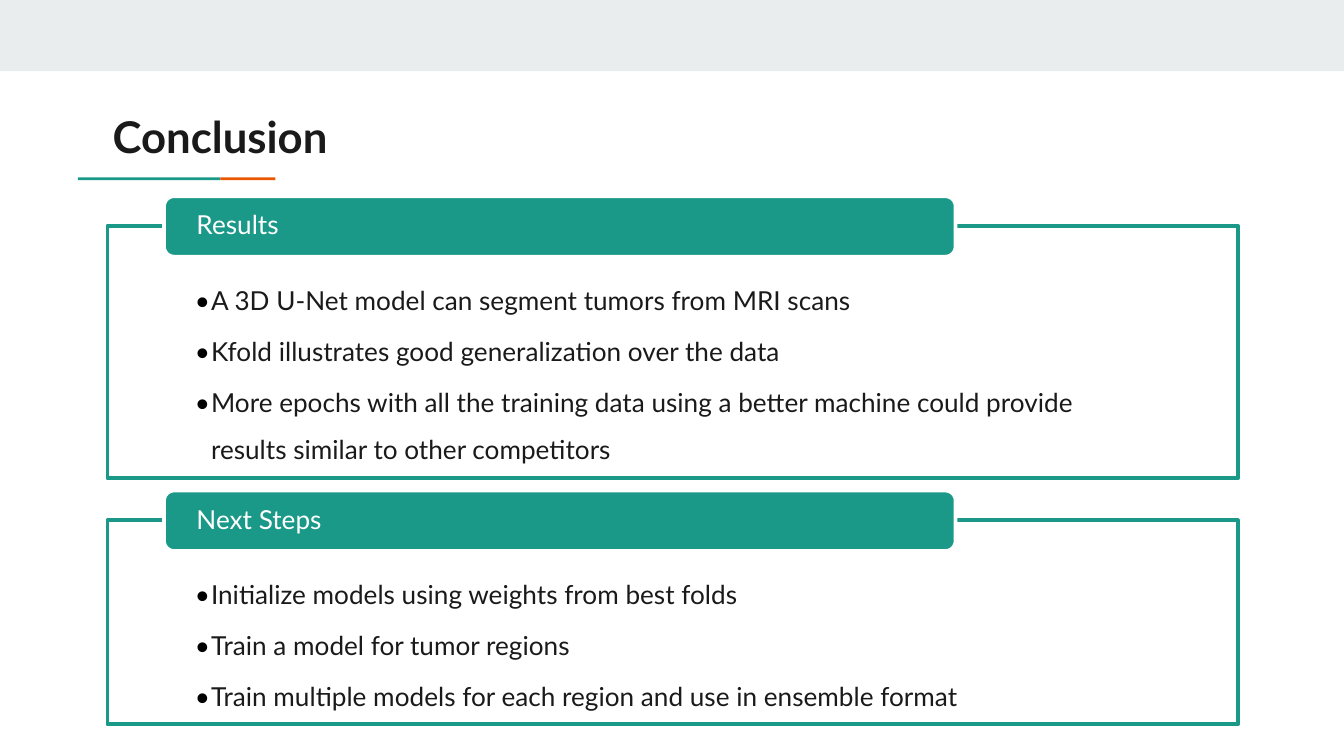
import pptx
import pptx.util
import pptx.dml.color
import pptx.enum.shapes
import pptx.enum.text
import pptx.oxml.ns
from lxml import etree
from pptx.util import Inches, Pt

COLORS = {
    "band": "E9EDEE",
    "teal": "1A9988",
    "orange": "EB5600",
    "ink": "1A1A1A",
    "bullet": "000000",
    "white": "FFFFFF",
}
FONT = "Lato"
SHAPES = pptx.enum.shapes.MSO_SHAPE
ANCHORS = pptx.enum.text.MSO_ANCHOR
PANEL_LEFT, PANEL_WIDTH = 0.8, 8.41
HEADER_LEFT, HEADER_WIDTH, HEADER_HEIGHT = 1.22, 5.89, 0.45
HEADER_RISE = 0.22  # how far a header stands above its panel
BULLET_INDENT = 0.12

SECTIONS = [
    ("Results", 1.68, 1.88, [
        "A 3D U-Net model can segment tumors from MRI scans",
        "Kfold illustrates good generalization over the data",
        "More epochs with all the training data using a better machine "
        "could provide results similar to other competitors",
    ]),
    ("Next Steps", 3.87, 1.52, [
        "Initialize models using weights from best folds",
        "Train a model for tumor regions",
        "Train multiple models for each region and use in ensemble format",
    ]),
]


def rgb(name):
    return pptx.dml.color.RGBColor.from_string(COLORS[name])


def add_block(slide, kind, left, top, width, height, fill, line=None):
    block = slide.shapes.add_shape(
        kind, Inches(left), Inches(top), Inches(width), Inches(height))
    block.shadow.inherit = False
    block.fill.solid()
    block.fill.fore_color.rgb = rgb(fill)
    if line:
        block.line.color.rgb = rgb(line)
        block.line.width = Pt(2)
    else:
        block.line.fill.background()
    return block


def add_bullet(paragraph):
    """Give a paragraph a hanging round bullet."""
    paragraph.level = 1
    props = paragraph._p.get_or_add_pPr()
    props.set("marL", str(Inches(BULLET_INDENT)))
    props.set("indent", str(-Inches(BULLET_INDENT)))
    qualified = pptx.oxml.ns.qn
    color = etree.SubElement(props, qualified("a:buClr"))
    etree.SubElement(color, qualified("a:srgbClr"), val=COLORS["bullet"])
    etree.SubElement(props, qualified("a:buFont"), typeface=FONT)
    etree.SubElement(props, qualified("a:buChar"), char="•")


def write_text(shape, lines, *, size=14, color="ink", bold=False, bullets=False,
               spacing=1.0, gap=0, insets=(0.1, 0.1, 0.1, 0.1), anchor=ANCHORS.TOP):
    """Fill a shape with paragraphs; insets run left, top, right, bottom."""
    frame = shape.text_frame
    frame.word_wrap = True
    frame.vertical_anchor = anchor
    (frame.margin_left, frame.margin_top,
     frame.margin_right, frame.margin_bottom) = map(Inches, insets)
    for index, line in enumerate(lines):
        paragraph = frame.add_paragraph() if index else frame.paragraphs[0]
        if bullets:
            add_bullet(paragraph)
        paragraph.alignment = pptx.enum.text.PP_ALIGN.LEFT
        paragraph.line_spacing = spacing
        if index:
            paragraph.space_before = Pt(gap)
        run = paragraph.add_run()
        run.text = line
        run.font.name = FONT
        run.font.size = Pt(size)
        run.font.bold = bold
        run.font.color.rgb = rgb(color)


def add_title(slide, title):
    for left, width, color in [(0.58, 1.06, "teal"), (1.64, 0.41, "orange")]:
        add_block(slide, SHAPES.RECTANGLE, left, 1.32, width, 0.02, color)
    box = slide.shapes.add_textbox(Inches(0.74), Inches(0.72), Inches(8.41), Inches(0.59))
    write_text(box, [title], size=23.4, bold=True)


def add_section(slide, heading, top, height, points):
    panel = add_block(slide, SHAPES.RECTANGLE, PANEL_LEFT, top,
                      PANEL_WIDTH, height, "white", line="teal")
    write_text(panel, points, bullets=True, spacing=1.5, gap=2.1,
               insets=(0.65, 0.32, 0.65, 0.11))
    header = add_block(slide, SHAPES.ROUNDED_RECTANGLE, HEADER_LEFT, top - HEADER_RISE,
                       HEADER_WIDTH, HEADER_HEIGHT, "teal", line="white")
    write_text(header, [heading], color="white", spacing=0.9,
               insets=(0.22, 0, 0.22, 0), anchor=ANCHORS.MIDDLE)


def main():
    deck = pptx.Presentation()
    deck.slide_width = Inches(10)
    deck.slide_height = deck.slide_width * 9 // 16
    slide = deck.slides.add_slide(deck.slide_layouts[6])
    add_block(slide, SHAPES.RECTANGLE, 0, 0, 10, 0.53, "band")
    add_title(slide, "Conclusion")
    for section in SECTIONS:
        add_section(slide, *section)
    deck.save("out.pptx")


if __name__ == "__main__":
    main()
